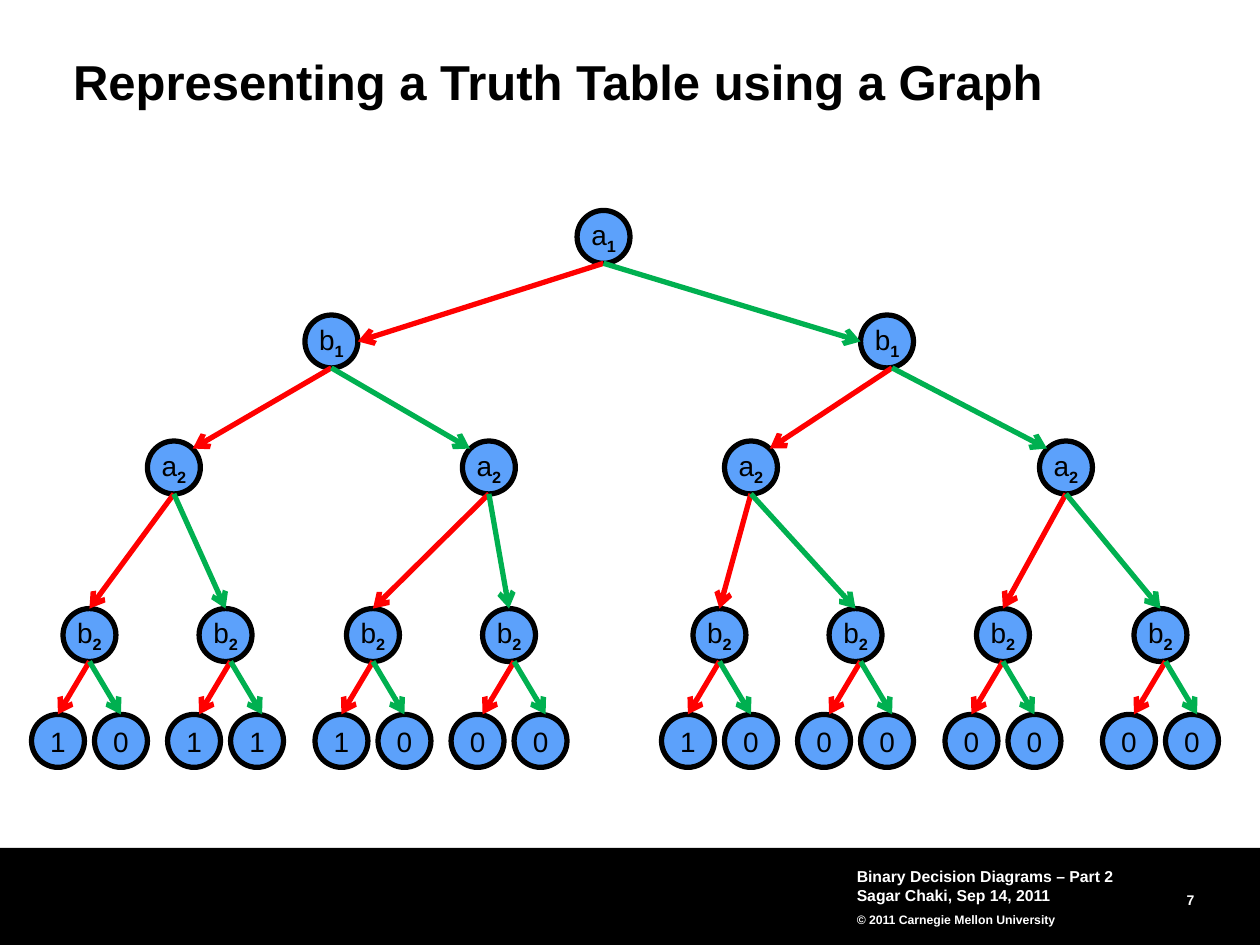
"""Build a slide that draws a truth table as a binary decision tree."""
from pptx import Presentation
from pptx.dml.color import RGBColor
from pptx.enum.shapes import MSO_CONNECTOR, MSO_SHAPE
from pptx.enum.text import MSO_ANCHOR, MSO_AUTO_SIZE, PP_ALIGN
from pptx.oxml.ns import qn
from pptx.util import Inches, Pt
from lxml.etree import SubElement

BLACK = RGBColor(0x00, 0x00, 0x00)
WHITE = RGBColor(0xFF, 0xFF, 0xFF)
BLUE = RGBColor(0x5C, 0xA1, 0xFB)
RED = RGBColor(0xFF, 0x00, 0x00)
GREEN = RGBColor(0x00, 0xB0, 0x50)

SIZE = 0.42
HALF = SIZE / 2
STEP = 0.25
NUDGE = 0.04
LEAVES = "1011100010000000"
FORKS = [0.5, 1.58, 2.75, 3.83, 5.5, 6.58, 7.75, 9]
TIPS = [x + side for x in FORKS for side in (-STEP, STEP)]
ROWS = [
    {"text": "a", "sub": "1", "top": 1.67, "lefts": [4.58], "end": (0, 0), "shift": 0},
    {"text": "b", "sub": "1", "top": 2.5, "lefts": [2.42, 6.83], "end": (HALF, HALF), "shift": NUDGE},
    {"text": "a", "sub": "2", "top": 3.5, "lefts": [1.17, 3.67, 5.75, 8.25], "end": (0.15, 0.06), "shift": 0},
    {"text": "b", "sub": "2", "top": 4.83, "lefts": FORKS, "end": (0, 0), "shift": NUDGE},
    {"text": LEAVES, "sub": "", "top": 5.67, "lefts": TIPS, "end": (0, 0), "shift": 0},
]


class Deck:
    def __init__(self):
        self.file = Presentation()
        self.file.slide_width = Inches(10)
        self.file.slide_height = Inches(7.5)
        self.slide = self.file.slides.add_slide(self.file.slide_layouts[6])
        self.shapes = self.slide.shapes
        self.font = "Arial"
        self.width = Pt(3)

    def style(self, item, form):
        for key, value in form.items():
            setattr(item, key, value)

    def frame(self, shape, inset, form):
        sides = ("left", "top", "right", "bottom")
        margins = {f"margin_{side}": Inches(inset) for side in sides}
        self.style(shape.text_frame, {**margins, **form})

    def label(self, para, text, size, color, bold=False):
        run = para.add_run()
        run.text = text
        self.style(run.font, {"name": self.font, "size": Pt(size), "bold": bold})
        run.font.color.rgb = color
        return run

    def shape(self, kind, box, fill):
        shape = self.shapes.add_shape(kind, *map(Inches, box))
        shape.shadow.inherit = False
        shape.fill.solid()
        shape.fill.fore_color.rgb = fill
        shape.line.fill.background()
        return shape

    def text(self, box, lines, color, inset=0, anchor=MSO_ANCHOR.MIDDLE, align=PP_ALIGN.LEFT):
        shape = self.shapes.add_textbox(*map(Inches, box))
        self.frame(shape, inset, {"word_wrap": True, "vertical_anchor": anchor,
                                  "auto_size": MSO_AUTO_SIZE.SHAPE_TO_FIT_TEXT})
        body = shape.text_frame
        for i, (text, size, space) in enumerate(lines):
            para = body.add_paragraph() if i else body.paragraphs[0]
            self.style(para, {"alignment": align, "line_spacing": space})
            self.label(para, text, size, color, True)

    def node(self, left, top, text, sub):
        shape = self.shape(MSO_SHAPE.OVAL, (left, top, SIZE, SIZE), BLUE)
        shape.line.color.rgb = BLACK
        shape.line.width = self.width
        self.frame(shape, 0, {"word_wrap": False, "vertical_anchor": MSO_ANCHOR.MIDDLE})
        para = shape.text_frame.paragraphs[0]
        para.alignment = PP_ALIGN.CENTER
        self.label(para, text, 16, BLACK)
        if sub:
            run = self.label(para, sub, 16, BLACK, True)
            run.font._element.set("baseline", "-25000")

    def arrow(self, start, end, color):
        line = self.shapes.add_connector(MSO_CONNECTOR.STRAIGHT, *map(Inches, start + end))
        line.line.color.rgb = color
        line.line.width = self.width
        props = line._element.spPr
        SubElement(props.find(qn("a:ln")), qn("a:tailEnd"), type="arrow")
        SubElement(props, qn("a:effectLst"))

    def row(self, row):
        for i, left in enumerate(row["lefts"]):
            text = row["text"][i % len(row["text"])]
            self.node(left, row["top"], text, row["sub"])

    def edges(self, upper, lower):
        dx, dy = lower["end"]
        for i, left in enumerate(lower["lefts"]):
            odd = i // 2 % 2
            shift = upper["shift"] * odd
            tip = shift if not lower["sub"] else 0
            side, color = (-1, GREEN) if i % 2 else (1, RED)
            start = (upper["lefts"][i // 2] + HALF + shift, upper["top"] + SIZE)
            end = (left + HALF + side * dx + tip, lower["top"] + dy)
            self.arrow(start, end, color)


def main():
    deck = Deck()
    deck.shape(MSO_SHAPE.RECTANGLE, (0, 6.73, 10, 0.77), BLACK)
    deck.text((8.56, 7.03, 0.92, 0.18), [("7", 8, Pt(13))], WHITE, align=PP_ALIGN.RIGHT)
    deck.text((6.75, 6.83, 2.5, 0.58), [
        ("Binary Decision Diagrams – Part 2", 9, 1.0),
        ("Sagar Chaki, Sep 14, 2011", 9, 1.0),
        ("© 2011 Carnegie Mellon University", 7, 1.5),
    ], WHITE, inset=0.05)
    title = [("Representing a Truth Table using a Graph", 28, 0.9)]
    deck.text((0.58, 0.46, 8.92, 0.42), title, BLACK, anchor=MSO_ANCHOR.TOP)
    for row in ROWS:
        deck.row(row)
    for upper, lower in zip(ROWS, ROWS[1:]):
        deck.edges(upper, lower)
    deck.file.save("out.pptx")


if __name__ == "__main__":
    main()
